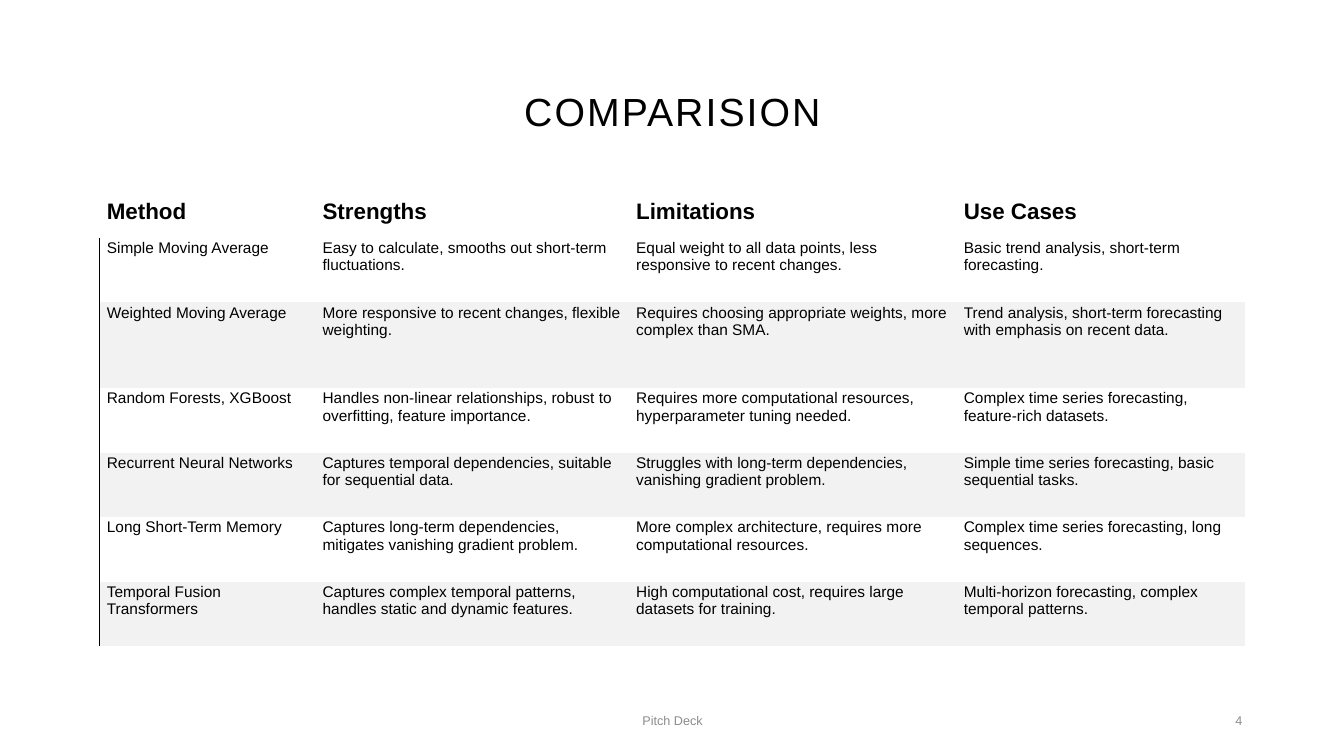
from lxml import etree
from pptx import Presentation
from pptx import util as u
from pptx.dml.color import RGBColor
from pptx.enum import text
from pptx.oxml import ns

BLACK = RGBColor(0x00, 0x00, 0x00)
GREY = RGBColor(0x8C, 0x8C, 0x8C)
BAND = RGBColor(0xF2, 0xF2, 0xF2)
PLAIN = "{2D5ABB26-0587-4C30-8999-92F81FD0307C}"  # no style, no grid

COLS = [2.14, 3.11, 3.25, 2.86]
HEIGHTS = [0.51, 0.64, 0.85, 0.64, 0.64, 0.64, 0.64]
ROWS = [
    ["Method", "Strengths", "Limitations", "Use Cases"],
    ["Simple Moving Average",
     "Easy to calculate, smooths out short-term fluctuations.",
     "Equal weight to all data points, less responsive to recent changes.",
     "Basic trend analysis, short-term forecasting."],
    ["Weighted Moving Average",
     "More responsive to recent changes, flexible weighting.",
     "Requires choosing appropriate weights, more complex than SMA.",
     "Trend analysis, short-term forecasting with emphasis on recent data."],
    ["Random Forests, XGBoost",
     "Handles non-linear relationships, robust to overfitting, feature importance.",
     "Requires more computational resources, hyperparameter tuning needed.",
     "Complex time series forecasting, feature-rich datasets."],
    ["Recurrent Neural Networks",
     "Captures temporal dependencies, suitable for sequential data.",
     "Struggles with long-term dependencies, vanishing gradient problem.",
     "Simple time series forecasting, basic sequential tasks."],
    ["Long Short-Term Memory",
     "Captures long-term dependencies, mitigates vanishing gradient problem.",
     "More complex architecture, requires more computational resources.",
     "Complex time series forecasting, long sequences."],
    ["Temporal Fusion Transformers",
     "Captures complex temporal patterns, handles static and dynamic features.",
     "High computational cost, requires large datasets for training.",
     "Multi-horizon forecasting, complex temporal patterns."],
]


class Deck:
    face = "Arial"

    def __init__(self, width, height):
        self.prs = Presentation()
        self.prs.slide_width = u.Inches(width)
        self.prs.slide_height = u.Inches(height)
        self.slide = self.prs.slides.add_slide(self.prs.slide_layouts[5])

    def style(self, frame, words, size, color=BLACK, bold=False, align=None):
        frame.text = words
        para = frame.paragraphs[0]
        para.alignment = align
        font = para.runs[0].font
        font.name, font.size, font.bold = self.face, u.Pt(size), bold
        font.color.rgb = color
        return para

    def title(self, words, left, top, width, height):
        shape = self.slide.shapes.title
        shape.left, shape.top = u.Inches(left), u.Inches(top)
        shape.width, shape.height = u.Inches(width), u.Inches(height)
        frame = shape.text_frame
        para = self.style(frame, words, 28, align=text.PP_ALIGN.CENTER)
        para.line_spacing = 0.9
        para.runs[0]._r.get_or_add_rPr().set("spc", "150")
        frame.vertical_anchor = text.MSO_ANCHOR.MIDDLE

    def footer(self, words, left, width, align):
        box = self.slide.shapes.add_textbox(
            u.Inches(left), u.Inches(6.95), u.Inches(width), u.Inches(0.4))
        frame = box.text_frame
        frame.word_wrap = True
        frame.vertical_anchor = text.MSO_ANCHOR.MIDDLE
        self.style(frame, words, 9, GREY, align=align).space_after = u.Pt(6)

    def edge(self, cell):
        """Draw a thin black line on the left side of a cell."""
        props = cell._tc.get_or_add_tcPr()
        line = etree.Element(ns.qn("a:lnL"), w=str(u.Pt(0.75)))
        fill = etree.SubElement(line, ns.qn("a:solidFill"))
        etree.SubElement(fill, ns.qn("a:srgbClr"), val=str(BLACK))
        props.insert(0, line)

    def cell(self, cell, words, head, band):
        cell.margin_left, cell.margin_right = u.Inches(0.07), u.Inches(0.08)
        cell.margin_top, cell.margin_bottom = u.Inches(0.02), u.Inches(0.14)
        anchor = text.MSO_ANCHOR
        cell.vertical_anchor = anchor.BOTTOM if head else anchor.TOP
        self.style(cell.text_frame, words, 16 if head else 11, bold=head)
        if band:
            cell.fill.solid()
            cell.fill.fore_color.rgb = BAND
        else:
            cell.fill.background()

    def table(self, rows, cols, heights, left, top):
        frame = self.slide.shapes.add_table(
            len(rows), len(cols), u.Inches(left), u.Inches(top),
            u.Inches(sum(cols)), u.Inches(sum(heights)))
        grid = frame.table
        grid._tbl.tblPr.find(ns.qn("a:tableStyleId")).text = PLAIN
        for col, width in zip(grid.columns, cols):
            col.width = u.Inches(width)
        for r, (row, height) in enumerate(zip(rows, heights)):
            grid.rows[r].height = u.Inches(height)
            for c, words in enumerate(row):
                self.cell(grid.cell(r, c), words, r == 0, r > 0 and r % 2 == 0)
            if r > 0:
                self.edge(grid.cell(r, 0))


def main():
    deck = Deck(13.33, 7.5)

    # Heading
    deck.title("COMPARISION", 0.92, 0.4, 11.5, 1.45)

    # Method comparison
    deck.table(ROWS, COLS, HEIGHTS, 0.99, 1.85)

    # Footer and page number
    deck.footer("Pitch Deck", 4.42, 4.5, text.PP_ALIGN.CENTER)
    deck.footer("4", 9.42, 3, text.PP_ALIGN.RIGHT)

    deck.prs.save("out.pptx")


if __name__ == "__main__":
    main()
